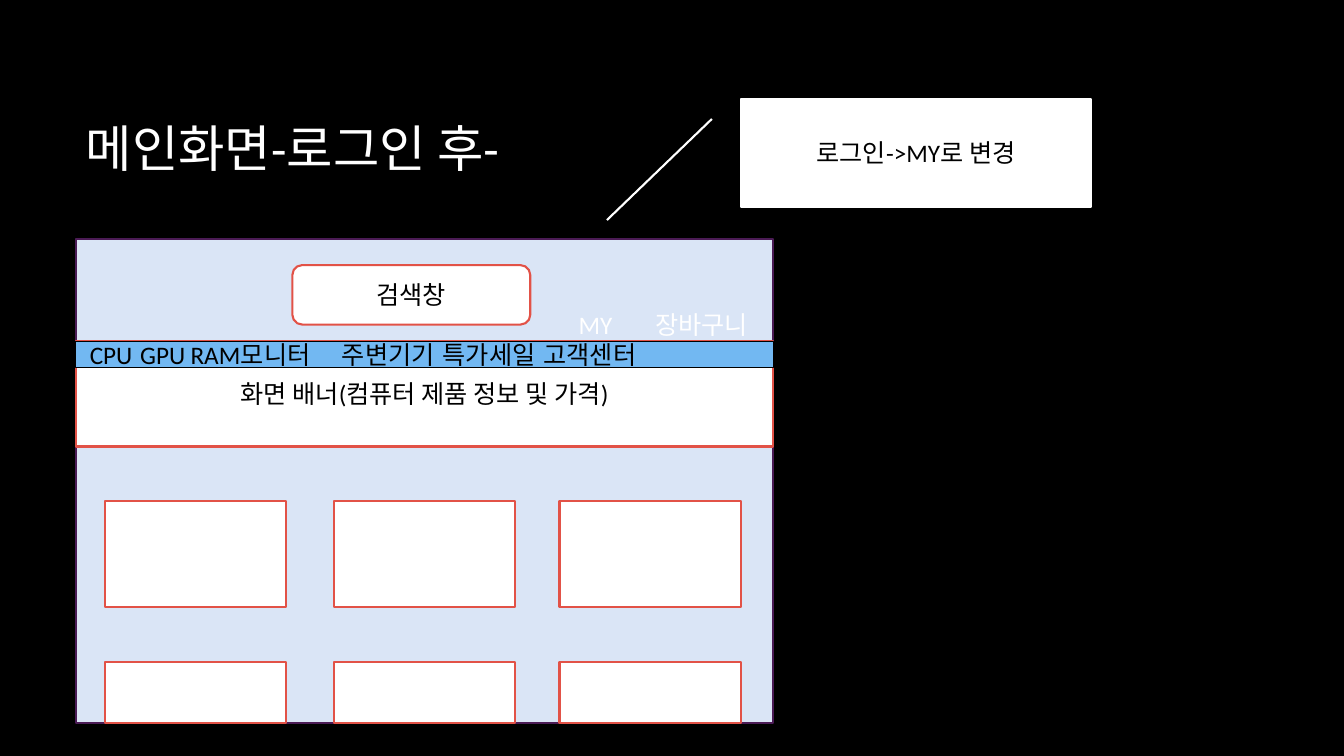
import pptx
import pptx.util
import pptx.dml.color
import pptx.enum.shapes
import pptx.enum.text
import pptx.oxml.ns
from lxml import etree

Inches, Pt = pptx.util.Inches, pptx.util.Pt
SHAPE = pptx.enum.shapes.MSO_SHAPE
ALIGN = pptx.enum.text.PP_ALIGN
ANCHOR = pptx.enum.text.MSO_ANCHOR

FONT = "Calibri"
COLORS = {
    "black": "000000",
    "white": "FFFFFF",
    "page": "DAE5F6",
    "page_line": "4B1B55",
    "red": "E25247",
    "nav": "72B8F2",
}
MENU = ["CPU", "GPU", "RAM", "모니터", "주변기기", "특가세일", "고객센터"]
MENU_INDENT = 0.14
MENU_TABS = [0.71, 1.44, 2.27, 3.31, 4.58, 5.71]


def rgb(name):
    return pptx.dml.color.RGBColor.from_string(COLORS[name])


def set_text(sp, text, color, size=18, align=ALIGN.LEFT, anchor=ANCHOR.MIDDLE):
    tf = sp.text_frame
    tf.text = text
    tf.vertical_anchor = anchor
    p = tf.paragraphs[0]
    p.alignment = align
    for r in p.runs:
        r.font.name = FONT
        r.font.size = Pt(size)
        r.font.color.rgb = rgb(color)


def add_box(s, box, fill="white", line="red", weight=1.5, kind=SHAPE.RECTANGLE, text=None):
    sp = s.shapes.add_shape(kind, *[Inches(v) for v in box])
    sp.shadow.inherit = False
    sp.fill.solid()
    sp.fill.fore_color.rgb = rgb(fill)
    sp.line.color.rgb = rgb(line)
    sp.line.width = Pt(weight)
    if text:
        set_text(sp, text, "black", align=ALIGN.CENTER)
    return sp


def add_title(s, box, text):
    sp = s.shapes.title
    sp.left, sp.top, sp.width, sp.height = [Inches(v) for v in box]
    set_text(sp, text, "white", size=36)


def add_header(s, x, y):
    """Account links and search field, placed from the page's top left corner."""
    for text, dx, width in [("MY", 4.89, 1.27), ("장바구니", 5.65, 1.53)]:
        sp = s.shapes.add_textbox(Inches(x + dx), Inches(y + 0.65), Inches(width), Inches(0.4))
        sp.text_frame.word_wrap = True
        set_text(sp, text, "white", anchor=ANCHOR.TOP)
    add_box(s, (x + 2.15, y + 0.26, 2.36, 0.59), kind=SHAPE.ROUNDED_RECTANGLE, text="검색창")


def add_products(s, x, y):
    """Two rows of product cards; the second row is cut off by the page end."""
    for dy, height in [(2.6, 1.05), (4.2, 0.6)]:
        for dx in (0.29, 2.56, 4.8):
            add_box(s, (x + dx, y + dy, 1.8, height))


def add_menu(s, box):
    sp = add_box(s, box, fill="nav", line="black", weight=0.75)
    tf = sp.text_frame
    tf.margin_left = Inches(MENU_INDENT)
    tf.margin_right = 0
    pPr = tf.paragraphs[0]._p.get_or_add_pPr()
    tabs = etree.SubElement(pPr, pptx.oxml.ns.qn("a:tabLst"))
    for pos in MENU_TABS:
        etree.SubElement(tabs, pptx.oxml.ns.qn("a:tab"), pos=str(Inches(pos)), algn="l")
    set_text(sp, "\t".join(MENU), "black")


def add_page(s, box):
    x, y, w, h = box
    add_box(s, box, fill="page", line="page_line")
    add_header(s, x, y)
    add_box(s, (x, y + 1.01, w, 1.05), text="화면 배너(컴퓨터 제품 정보 및 가격)")
    add_products(s, x, y)
    add_menu(s, (x, y + 1.02, w, 0.26))


def main():
    prs = pptx.Presentation()
    prs.slide_width, prs.slide_height = Inches(13.33), Inches(7.5)
    s = prs.slides.add_slide(prs.slide_layouts[5])
    s.background.fill.solid()
    s.background.fill.fore_color.rgb = rgb("black")
    add_title(s, (0.75, 0.67, 11.08, 1.59), "메인화면-로그인 후-")
    add_page(s, (0.75, 2.37, 6.92, 4.8))
    add_box(s, (7.35, 0.98, 3.47, 1.07), line="white", kind=SHAPE.LINE_CALLOUT_1,
            text="로그인->MY로 변경")
    prs.save("out.pptx")


if __name__ == "__main__":
    main()
